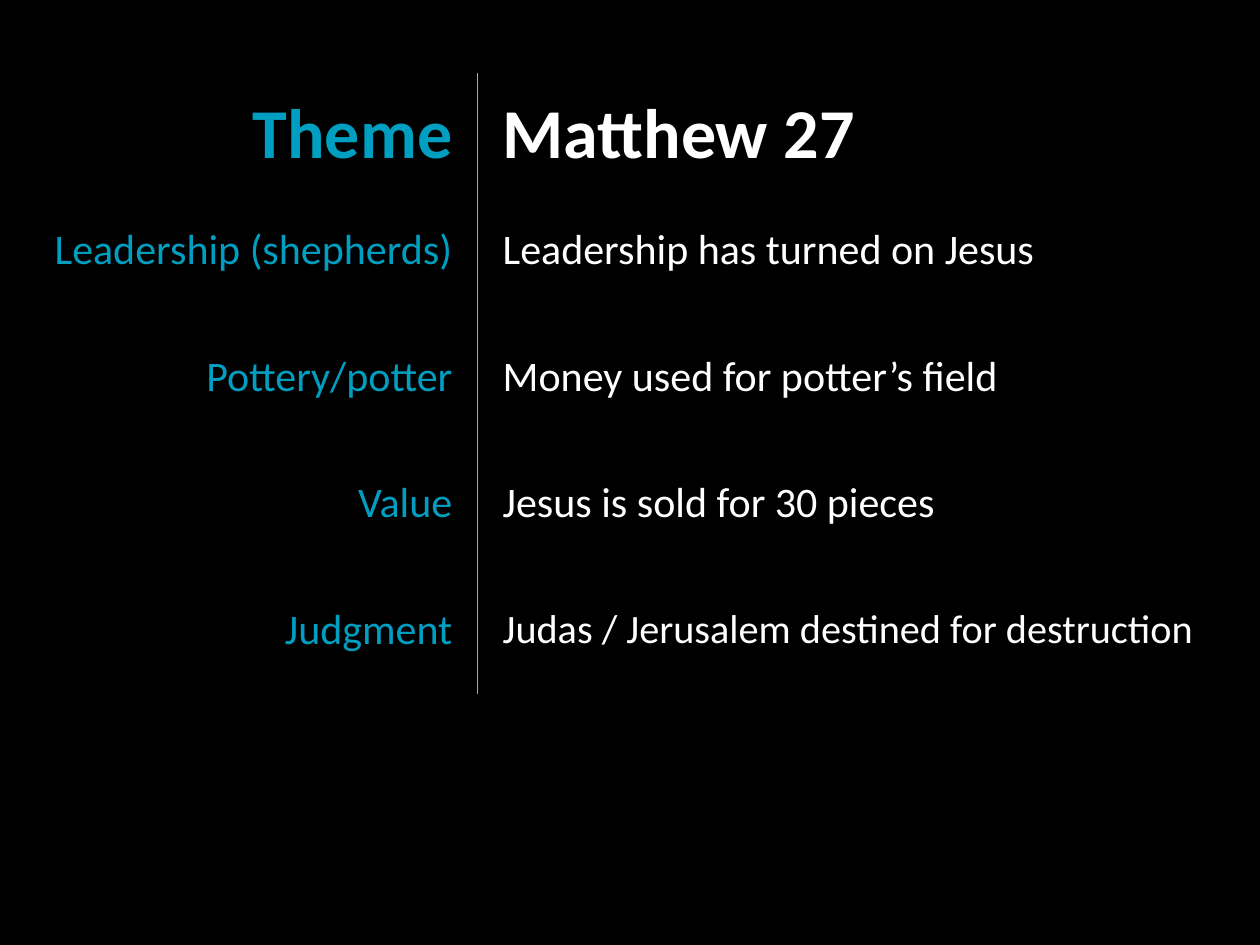
from lxml.etree import SubElement
from pptx import Presentation
from pptx.dml.color import RGBColor
from pptx.enum.text import MSO_ANCHOR, PP_ALIGN
from pptx.oxml import parse_xml
from pptx.oxml.ns import nsdecls, qn
from pptx.util import Inches, Pt

BLACK = RGBColor(0x00, 0x00, 0x00)
WHITE = RGBColor(0xFF, 0xFF, 0xFF)
TEAL = RGBColor(0x00, 0x9E, 0xC0)
GREY = RGBColor(0xA6, 0xA6, 0xA6)

ROWS = [
    ("Theme", "Matthew 27"),
    ("Leadership (shepherds)", "Leadership has turned on Jesus"),
    ("Pottery/potter", "Money used for potter’s field"),
    ("Value", "Jesus is sold for 30 pieces"),
    ("Judgment", "Judas / Jerusalem destined for destruction"),
]
SIZES = {"Judas / Jerusalem destined for destruction": 23}
LEFT, TOP = 0.12, 0.58
WIDTHS = (3.67, 6.08)
HEIGHTS = [0.9] + [1] * (len(ROWS) - 1)
COLUMNS = [(TEAL, PP_ALIGN.RIGHT, "lnR"), (WHITE, PP_ALIGN.LEFT, "lnL")]
HEAD = {"size": 40, "bold": True, "pad": 0.07, "anchor": MSO_ANCHOR.BOTTOM}
BODY = {"size": 24, "bold": False, "pad": 0.3, "anchor": MSO_ANCHOR.TOP}


def add_border(cell, side):
    line = parse_xml(f'<a:{side} {nsdecls("a")} w="{Pt(0.25)}"/>')
    fill = SubElement(line, qn("a:solidFill"))
    SubElement(fill, qn("a:srgbClr"), val=str(GREY))
    cell._tc.get_or_add_tcPr().insert(0, line)


def fill_cell(cell, text, style, column):
    color, align, side = column
    margins = {
        "margin_left": Inches(0.2),
        "margin_right": Inches(0.2),
        "margin_top": Inches(style["pad"]),
        "margin_bottom": Inches(style["pad"]),
        "vertical_anchor": style["anchor"],
    }
    for name, value in margins.items():
        setattr(cell, name, value)
    cell.fill.background()
    add_border(cell, side)

    para = cell.text_frame.paragraphs[0]
    para.alignment = align
    run = para.add_run()
    run.text = text
    font = {"name": "Calibri", "size": Pt(SIZES.get(text, style["size"])), "bold": style["bold"]}
    for name, value in font.items():
        setattr(run.font, name, value)
    run.font.color.rgb = color


def main():
    deck = Presentation()
    deck.slide_width, deck.slide_height = Inches(10), Inches(7.5)
    slide = deck.slides.add_slide(deck.slide_layouts[6])
    slide.background.fill.solid()
    slide.background.fill.fore_color.rgb = BLACK

    box = [Inches(n) for n in (LEFT, TOP, sum(WIDTHS), sum(HEIGHTS))]
    table = slide.shapes.add_table(len(ROWS), len(WIDTHS), *box).table
    table.first_row = table.horz_banding = False
    for col, width in zip(table.columns, WIDTHS):
        col.width = Inches(width)
    for row, height, texts in zip(table.rows, HEIGHTS, ROWS):
        row.height = Inches(height)
        style = HEAD if texts is ROWS[0] else BODY
        for cell, text, column in zip(row.cells, texts, COLUMNS):
            fill_cell(cell, text, style, column)

    # The "No Style, No Grid" table style leaves only the centre rule visible.
    style_id = table._tbl.tblPr.find(qn("a:tableStyleId"))
    style_id.text = "{2D5ABB26-0587-4C30-8999-92F81FD0307C}"
    deck.save("out.pptx")


if __name__ == "__main__":
    main()
